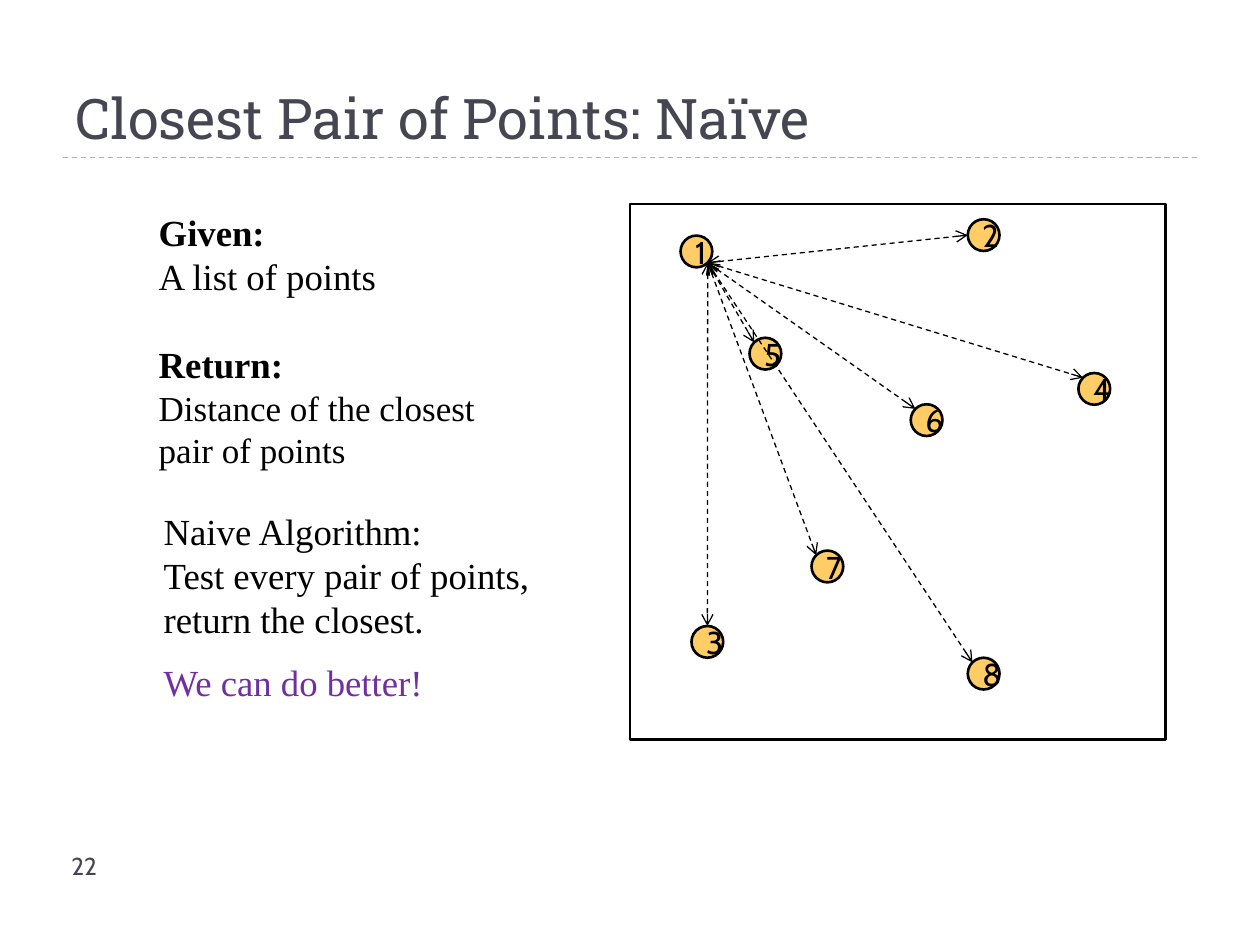
from math import sqrt
from lxml.etree import SubElement
from pptx import Presentation
from pptx.dml.color import RGBColor
from pptx.enum.dml import MSO_LINE
from pptx.enum.shapes import MSO_CONNECTOR, MSO_SHAPE
from pptx.enum.text import MSO_ANCHOR, MSO_AUTO_SIZE, PP_ALIGN
from pptx.oxml.ns import qn
from pptx.util import Cm, Pt

BLACK = RGBColor(0x00, 0x00, 0x00)
SLATE = RGBColor(0x46, 0x46, 0x53)
RULE = RGBColor(0x9F, 0xB8, 0xCD)
GOLD = RGBColor(0xFF, 0xCC, 0x66)
PURPLE = RGBColor(0x70, 0x30, 0xA0)
SERIF, SANS, SLAB = "Times New Roman", "Cabin", "Roboto Slab"

# Dots: left and top in cm, and the side (x, y) that an arrow touches
SIZE = 0.64
DIAG = sqrt(0.5)
CORNER = (-DIAG, -DIAG)
START = (13.72, 4.75, (DIAG, DIAG))
DOTS = [
    START,
    (19.51, 4.42, (-1, 0)),
    (13.94, 12.62, (0, -1)),
    (21.74, 7.52, CORNER),
    (15.11, 6.81, CORNER),
    (18.36, 8.15, CORNER),
    (16.36, 11.1, CORNER),
    (19.51, 13.26, CORNER),
]


def style(para, name, size, color, bold=False):
    font = para.font
    font.name, font.size, font.bold = name, Pt(size), bold
    font.color.rgb = color


def add_title(slide, text):
    title = slide.shapes.title
    title.left, title.top = Cm(1.27), Cm(0.43)
    title.width, title.height = Cm(22.86), Cm(2.74)
    frame = title.text_frame
    frame.text = text
    frame.auto_size = MSO_AUTO_SIZE.NONE
    frame.vertical_anchor = MSO_ANCHOR.BOTTOM
    para = frame.paragraphs[0]
    para.alignment = PP_ALIGN.LEFT
    style(para, SLAB, 32, SLATE)


def add_text(slide, box, lines, name=SERIF, color=BLACK, wrap=True):
    """Each line is (text, size, bold, space before)."""
    frame = slide.shapes.add_textbox(*map(Cm, box)).text_frame
    frame.word_wrap = wrap
    frame.text = "\n".join(line[0] for line in lines)
    for para, (_, size, bold, gap) in zip(frame.paragraphs, lines):
        if gap:
            para.space_before = Pt(gap)
        style(para, name, size, color, bold)


def add_line(slide, start, end, color, arrows=False):
    line = slide.shapes.add_connector(
        MSO_CONNECTOR.STRAIGHT, *map(Cm, start + end))
    line.line.color.rgb = color
    line.line.width = Pt(0.75)
    line.line.dash_style = MSO_LINE.DASH
    props = line._element.spPr
    if arrows:
        ln = props.find(qn("a:ln"))
        for tag in ("a:headEnd", "a:tailEnd"):
            SubElement(ln, qn(tag), type="arrow")
    SubElement(props, qn("a:effectLst"))


def add_shape(slide, kind, box, fill=None):
    shape = slide.shapes.add_shape(kind, *map(Cm, box))
    shape.shadow.inherit = False
    if fill is None:
        shape.fill.background()
    else:
        shape.fill.solid()
        shape.fill.fore_color.rgb = fill
    shape.line.color.rgb = BLACK
    shape.line.width = Pt(1.5)
    return shape


def add_dot(slide, label, left, top):
    dot = add_shape(slide, MSO_SHAPE.OVAL, (left, top, SIZE, SIZE), GOLD)
    frame = dot.text_frame
    frame.text = label
    frame.vertical_anchor = MSO_ANCHOR.MIDDLE
    para = frame.paragraphs[0]
    para.alignment = PP_ALIGN.CENTER
    style(para, SANS, 18, BLACK)


def touch(dot):
    left, top, (dx, dy) = dot
    half = SIZE / 2
    return left + half * (1 + dx), top + half * (1 + dy)


def main():
    prs = Presentation()
    prs.slide_width, prs.slide_height = Cm(25.4), Cm(19.05)
    slide = prs.slides.add_slide(prs.slide_layouts[5])

    # Heading and page number
    add_line(slide, (1.27, 3.18), (24.13, 3.18), RULE)
    add_title(slide, "Closest Pair of Points: Naïve")
    add_text(slide, (1.19, 17.04, 4.45, 0.76), [("22", 14, False, 0)],
             SANS, SLATE)

    # Problem and naive method
    add_text(slide, (2.95, 4.11, 8.03, 5.56), [
        ("Given:", 21, True, 0),
        ("A list of points", 21, False, 0),
        ("Return:", 21, True, 25),
        ("Distance of the closest pair of points", 20, False, 0),
    ])
    add_text(slide, (3.05, 10.13, 7.92, 2.95), [
        ("Naive Algorithm:", 21, False, 0),
        ("Test every pair of points, return the closest.", 21, False, 0),
    ])
    add_text(slide, (3.05, 13.18, 5.82, 1.14),
             [("We can do better!", 21, False, 0)], color=PURPLE, wrap=False)

    # Plane with numbered points
    add_shape(slide, MSO_SHAPE.RECTANGLE, (12.7, 4.11, 10.8, 10.8))
    for num, (left, top, _) in enumerate(DOTS, 1):
        add_dot(slide, str(num), left, top)

    # Distances from point 1 to all others
    for dot in DOTS[1:]:
        add_line(slide, touch(START), touch(dot), BLACK, arrows=True)

    prs.save("out.pptx")


if __name__ == "__main__":
    main()
